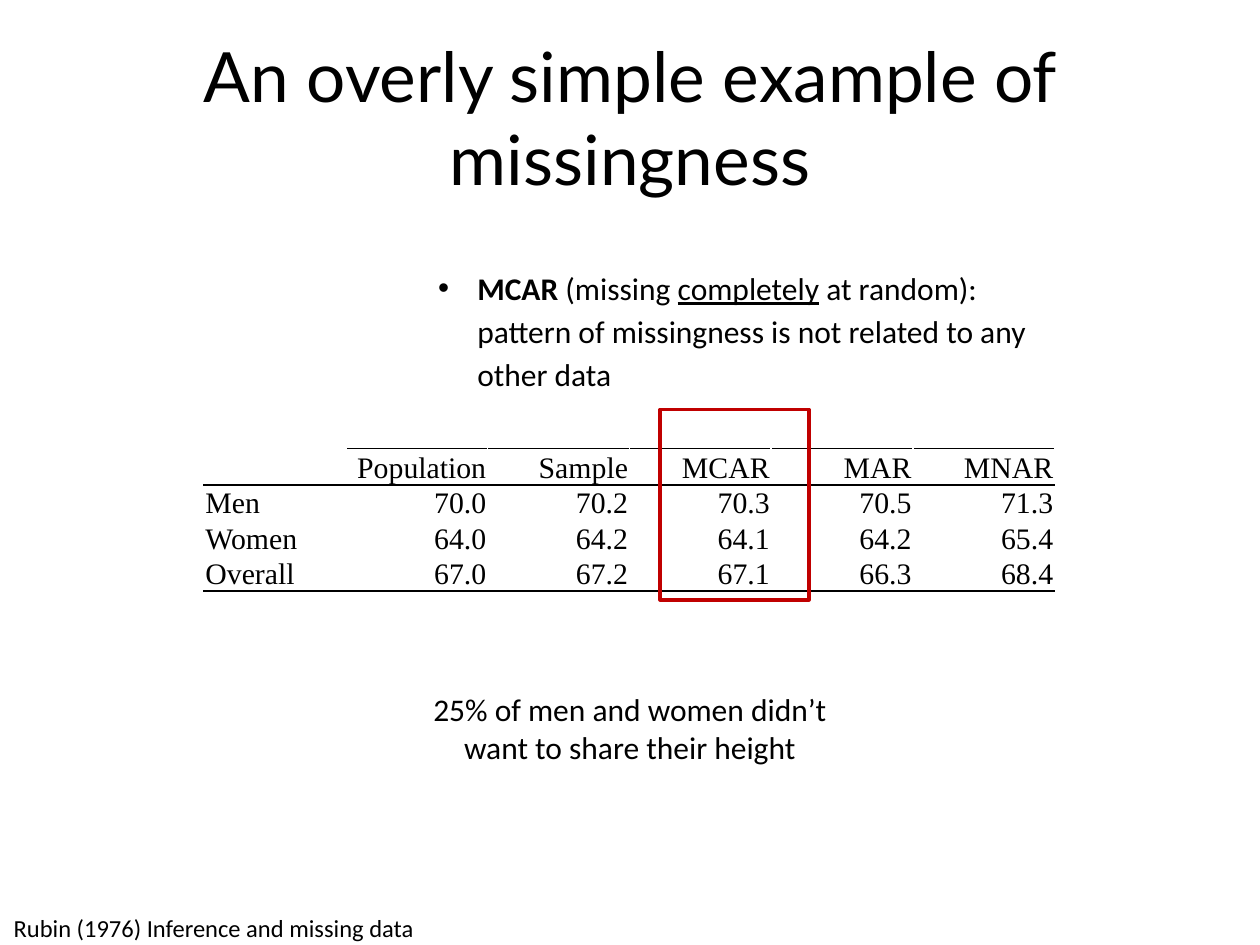
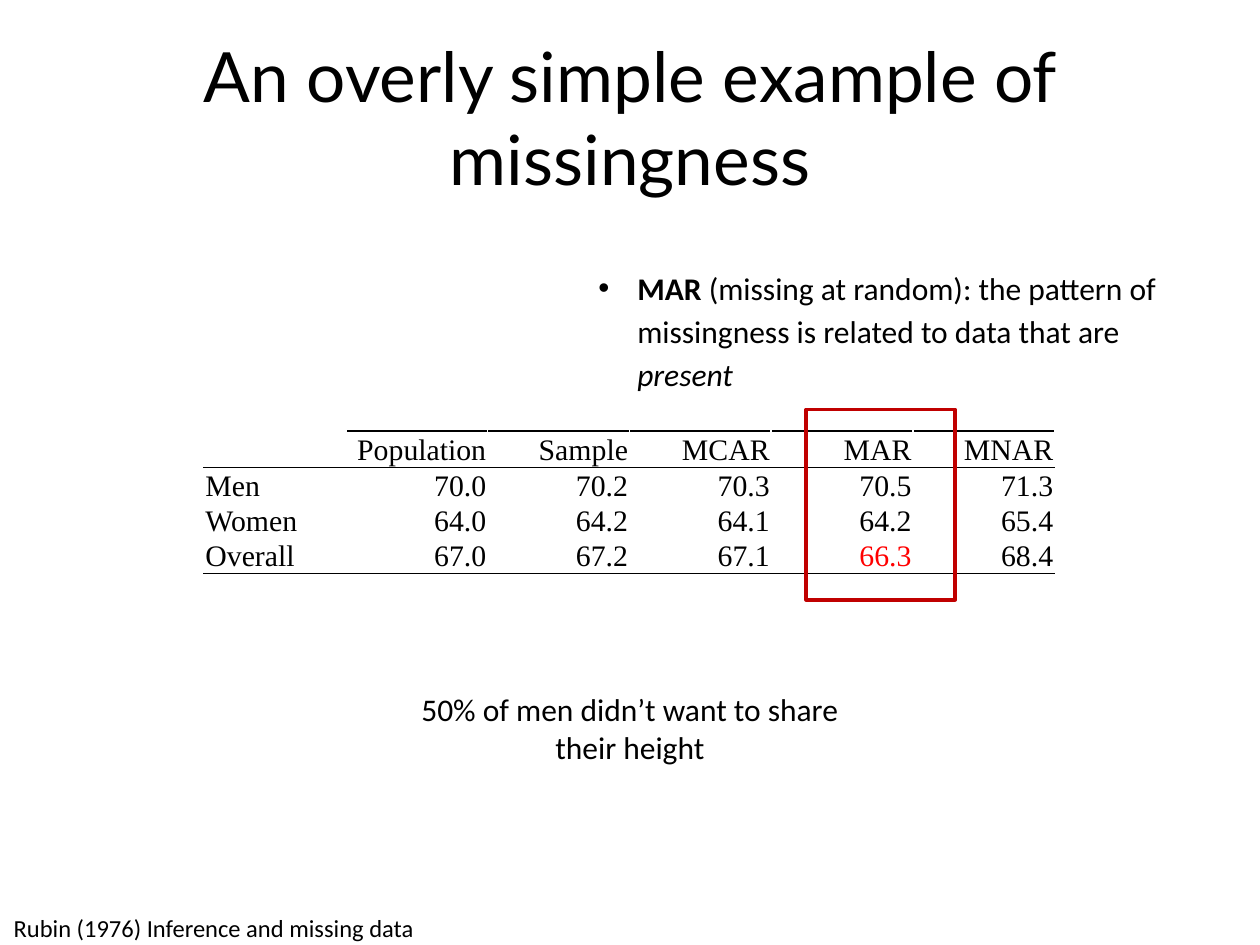
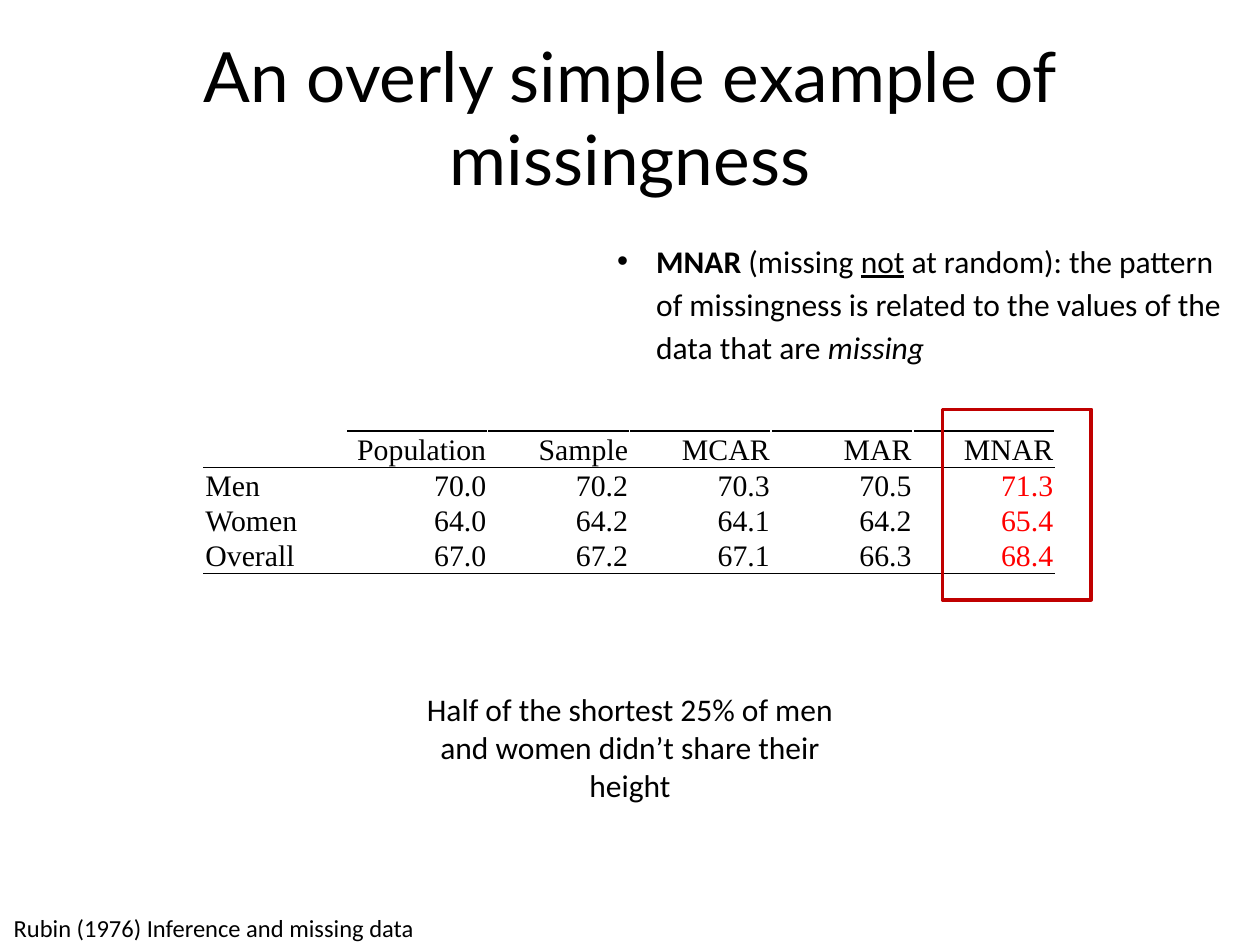
from dataclasses import dataclass

from lxml.etree import SubElement
from pptx import Presentation
from pptx.dml.color import RGBColor
from pptx.enum.shapes import MSO_SHAPE
from pptx.enum.text import MSO_ANCHOR, MSO_AUTO_SIZE, PP_ALIGN
from pptx.oxml.ns import qn
from pptx.util import Inches, Pt


@dataclass(frozen=True)
class Theme:
    ink: str = "000000"
    paper: str = "FFFFFF"
    frame: str = "C00000"
    alert: str = "FF0000"
    title_font: str = "Lato"
    body_font: str = "Calibri"
    table_font: str = "Times New Roman"
    title_size: float = 39.6
    body_size: float = 18
    table_size: float = 17
    source_size: float = 14
    frame_width: float = 2.25
    rule_width: float = 1


TITLE = "An overly simple example of missingness"
SOURCE = "Rubin (1976) Inference and missing data"
HEIGHTS = [
    ["", "Population", "Sample", "MCAR", "MAR", "MNAR"],
    ["Men", "70.0", "70.2", "70.3", "70.5", "71.3"],
    ["Women", "64.0", "64.2", "64.1", "64.2", "65.4"],
    ["Overall", "67.0", "67.2", "67.1", "66.3", "68.4"],
]
EXAMPLES = [
    {
        "definition": [("MCAR", "b"), (" (missing ", ""), ("completely", "u"),
                       (" at random): pattern of missingness is not related to any other data", "")],
        "definition_at": (3.38, 2.04),
        "note": "25% of men and women didn’t want to share their height",
        "note_size": (3.54, 0.71),
        "table_top": 3.56,
        "frame_left": 5.24,
        "alerts": [],
    },
    {
        "definition": [("MAR ", "b"),
                       ("(missing at random): the pattern of missingness is related to data that are ", ""),
                       ("present", "i")],
        "definition_at": (4.65, 2.04),
        "note": "50% of men didn’t want to share their height",
        "note_size": (3.54, 0.71),
        "table_top": 3.42,
        "frame_left": 6.4,
        "alerts": [(3, 4)],
    },
    {
        "definition": [("MNAR", "b"), (" (missing ", ""), ("not", "u"),
                       (" at random): the pattern of missingness is related to the values"
                        " of the data that are ", ""),
                       ("missing", "i")],
        "definition_at": (4.8, 1.83),
        "note": "Half of the shortest 25% of men and women didn’t share their height",
        "note_size": (3.83, 1.01),
        "table_top": 3.42,
        "frame_left": 7.48,
        "alerts": [(1, 5), (2, 5), (3, 5)],
    },
]


class PageBuilder:
    def __init__(self, deck, theme):
        self.deck = deck
        self.theme = theme
        self.page = None

    def start_page(self, title):
        self.page = self.deck.slides.add_slide(self.deck.slide_layouts[5])
        box = self.page.shapes.title
        box.left, box.top, box.width, box.height = map(Inches, (0.5, 0.3, 9, 1.25))
        frame = box.text_frame
        frame.auto_size = MSO_AUTO_SIZE.NONE
        frame.vertical_anchor = MSO_ANCHOR.MIDDLE
        para = frame.paragraphs[0]
        para.alignment = PP_ALIGN.CENTER
        self.span(para, title, self.theme.title_font, self.theme.title_size)

    def span(self, para, text, font, size, marks="", color=None):
        span = para.add_run()
        span.text = text
        span.font.name = font
        span.font.size = Pt(size)
        span.font.color.rgb = RGBColor.from_string(color or self.theme.ink)
        span.font.bold = "b" in marks
        span.font.italic = "i" in marks
        span.font.underline = "u" in marks

    def text(self, place, spans, size, align=PP_ALIGN.LEFT):
        box = self.page.shapes.add_textbox(*map(Inches, place))
        box.text_frame.word_wrap = True
        box.text_frame.auto_size = MSO_AUTO_SIZE.SHAPE_TO_FIT_TEXT
        para = box.text_frame.paragraphs[0]
        para.alignment = align
        for text, marks in spans:
            self.span(para, text, self.theme.body_font, size, marks)
        return para

    def bullet(self, place, spans):
        para = self.text(place, spans, self.theme.body_size)
        para.line_spacing = 1.14
        properties = para._p.get_or_add_pPr()
        properties.set("marL", str(Inches(0.31)))
        properties.set("indent", str(-Inches(0.31)))
        SubElement(properties, qn("a:buFont"), typeface="Arial")
        SubElement(properties, qn("a:buChar"), char="•")

    def highlight(self, place):
        box = self.page.shapes.add_shape(MSO_SHAPE.RECTANGLE, *map(Inches, place))
        box.shadow.inherit = False
        box.fill.background()
        box.line.color.rgb = RGBColor.from_string(self.theme.frame)
        box.line.width = Pt(self.theme.frame_width)

    def rule(self, cell, side, color):
        line = SubElement(cell._tc.get_or_add_tcPr(), qn(f"a:ln{side}"),
                          w=str(Pt(self.theme.rule_width)))
        fill = SubElement(line, qn("a:solidFill"))
        SubElement(fill, qn("a:srgbClr"), val=color)

    def table(self, place, rows, alerts):
        theme = self.theme
        last = len(rows) - 1
        table = self.page.shapes.add_table(len(rows), len(rows[0]), *map(Inches, place)).table
        table.first_row = False
        table.horz_banding = False
        for row in table.rows:
            row.height = Inches(0.28)
        for row, values in enumerate(rows):
            for column, value in enumerate(values):
                cell = table.cell(row, column)
                cell.margin_left = cell.margin_right = cell.margin_top = Inches(0.01)
                cell.margin_bottom = 0
                cell.vertical_anchor = MSO_ANCHOR.BOTTOM
                para = cell.text_frame.paragraphs[0]
                para.alignment = PP_ALIGN.RIGHT if column else PP_ALIGN.LEFT
                color = theme.alert if (row, column) in alerts else theme.ink
                self.span(para, value, theme.table_font, theme.table_size, color=color)
                dark_top = row == 1 or (row == 0 and column > 0)
                self.rule(cell, "L", theme.paper)
                self.rule(cell, "R", theme.paper)
                self.rule(cell, "T", theme.ink if dark_top else theme.paper)
                self.rule(cell, "B", theme.ink if row in (0, last) else theme.paper)
                cell.fill.background()


def main():
    deck = Presentation()
    deck.slide_width = Inches(10)
    deck.slide_height = Inches(7.5)
    theme = Theme()
    builder = PageBuilder(deck, theme)
    for example in EXAMPLES:
        builder.start_page(TITLE)
        builder.table((1.62, example["table_top"], 6.75, 1.12), HEIGHTS, example["alerts"])
        width, height = example["note_size"]
        builder.text(((10 - width) / 2, 5.43, width, height), [(example["note"], "")],
                     theme.body_size, PP_ALIGN.CENTER)
        builder.highlight((example["frame_left"], 3.25, 1.18, 1.51))
        builder.bullet((*example["definition_at"], 5, 1.12), example["definition"])
        builder.text((0.01, 7.2, 10, 0.34), [(SOURCE, "")], theme.source_size)
    deck.save("out.pptx")


if __name__ == "__main__":
    main()
